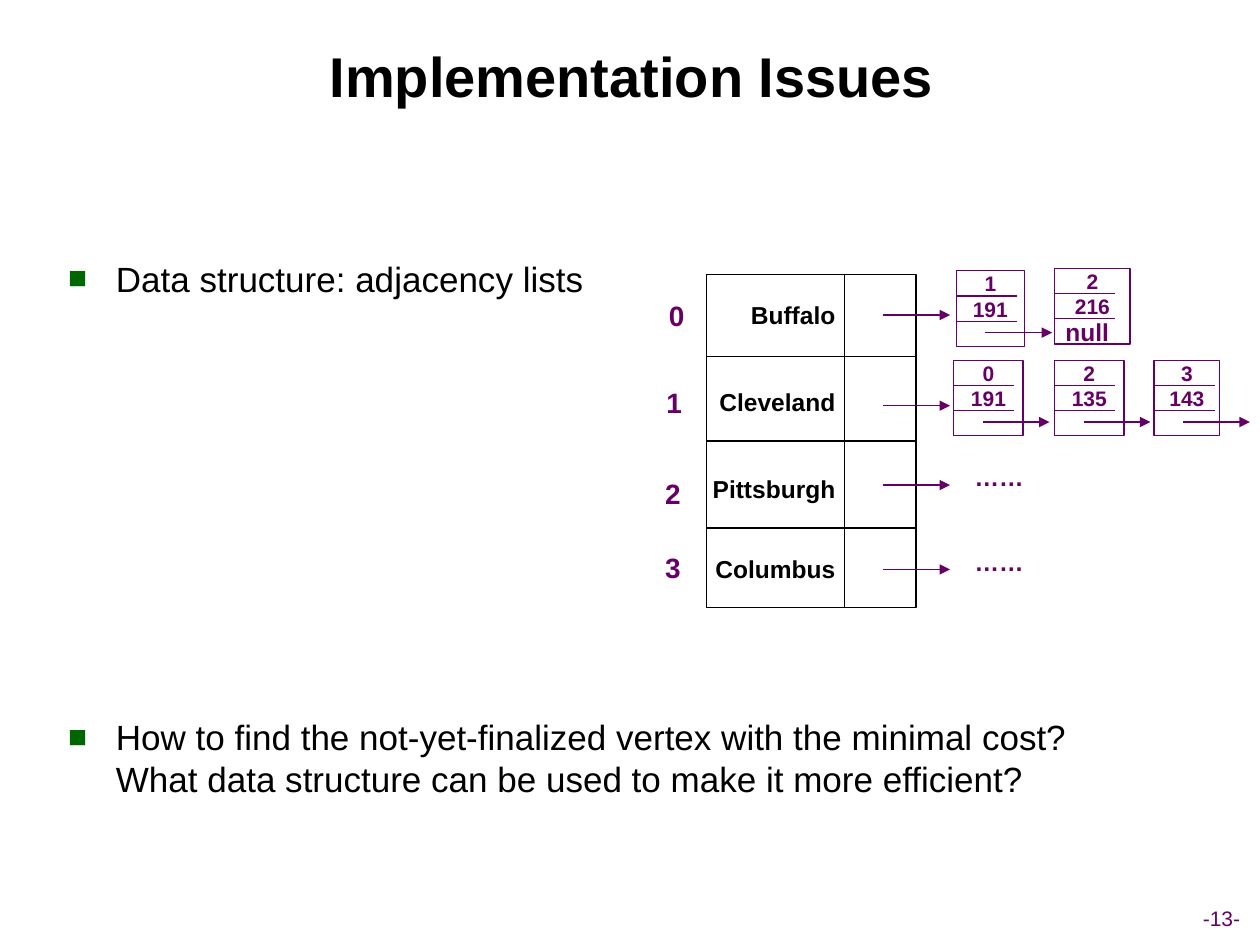
from dataclasses import dataclass
from typing import NamedTuple

from lxml.etree import SubElement
from pptx import Presentation
from pptx.dml.color import RGBColor as Rgb
from pptx.enum.shapes import MSO_CONNECTOR as Link, MSO_SHAPE as Kind
from pptx.enum.text import MSO_ANCHOR as Anchor, PP_ALIGN as Align
from pptx.oxml.ns import qn
from pptx.util import Inches, Pt


@dataclass(frozen=True)
class Theme:
    font: str = "Arial"
    ink: Rgb = Rgb(0, 0, 0)
    plum: Rgb = Rgb(0x66, 0, 0x66)
    mark: str = "006600"
    title: int = 32
    body: int = 20
    index: int = 16
    label: int = 14
    small: int = 12
    line: float = 0.75


class Box(NamedTuple):
    x: float
    y: float
    w: float
    h: float


class Row(NamedTuple):
    city: str
    city_y: float
    index_x: float
    index_y: float
    arrow_y: float


class Node(NamedTuple):
    x: float
    y: float
    w: float
    vertex: str
    cost: str
    linked: bool = True


THEME = Theme()
FRAME = Box(5.61, 2.18, 1.66, 2.64)
SPLIT = 6.7
STEP = 0.53  # length of every arrow

ROWS = [
    Row("Buffalo", 2.33, 5.21, 2.32, 2.5),
    Row("Cleveland", 3.02, 5.19, 3.01, 3.22),
    Row("Pittsburgh", 3.71, 5.18, 3.73, 3.85),
    Row("Columbus", 4.35, 5.18, 4.32, 4.52),
]
NODES = [
    Node(7.59, 2.15, 0.54, "1", "191"),
    Node(8.37, 2.13, 0.6, "2", "216", False),
    Node(7.57, 2.86, 0.55, "0", "191"),
    Node(8.37, 2.86, 0.55, "2", "135"),
    Node(9.16, 2.86, 0.52, "3", "143"),
]
POINTS = [
    "Data structure: adjacency lists",
    "How to find the not-yet-finalized vertex with the minimal cost? "
    "What data structure can be used to make it more efficient?",
]


def place(box: Box) -> list:
    return [Inches(side) for side in box]


def write(para, text: str, size: int, color: Rgb, bold: bool = True) -> None:
    run = para.add_run()
    run.text = text
    font = run.font
    font.name, font.size, font.bold = THEME.font, Pt(size), bold
    font.color.rgb = color


def add_label(shapes, box: Box, text: str, size: int, color: Rgb,
              bold: bool = True, align=Align.CENTER, anchor=Anchor.TOP) -> None:
    frame = shapes.add_textbox(*place(box)).text_frame
    frame.word_wrap = False
    frame.vertical_anchor = anchor
    para = frame.paragraphs[0]
    para.alignment = align
    write(para, text, size, color, bold)


def add_rect(shapes, box: Box, color: Rgb):
    rect = shapes.add_shape(Kind.RECTANGLE, *place(box))
    rect.shadow.inherit = False
    rect.fill.background()
    rect.line.color.rgb = color
    rect.line.width = Pt(THEME.line)
    return rect


def add_line(shapes, x: float, y: float, x2: float, y2: float, color: Rgb):
    line = shapes.add_connector(Link.STRAIGHT, *place(Box(x, y, x2, y2)))
    line.line.color.rgb = color
    line.line.width = Pt(THEME.line)
    SubElement(line._element.spPr, qn("a:effectLst"))
    return line


def add_arrow(shapes, x: float, y: float) -> None:
    line = add_line(shapes, x, y, x + STEP, y, THEME.plum)
    SubElement(line.line._get_or_add_ln(), qn("a:tailEnd"), type="triangle")


def add_points(shapes) -> None:
    frame = shapes.add_textbox(*place(Box(0.45, 2.04, 8.38, 4.5))).text_frame
    frame.word_wrap = True
    frame.margin_left, frame.margin_top = Inches(0.09), 0
    for i, text in enumerate(POINTS):
        para = frame.add_paragraph() if i else frame.paragraphs[0]
        if i:
            para.space_before = Pt(238)
        props = para._p.get_or_add_pPr()
        props.set("marL", str(Inches(0.38)))
        props.set("indent", str(-Inches(0.38)))
        tint = SubElement(props, qn("a:buClr"))
        SubElement(tint, qn("a:srgbClr"), val=THEME.mark)
        SubElement(props, qn("a:buSzPct"), val="90000")
        SubElement(props, qn("a:buFont"), typeface=THEME.font)
        SubElement(props, qn("a:buChar"), char="■")
        write(para, text, THEME.body, THEME.ink, False)


def add_table_frame(shapes) -> None:
    """Draw the vertex array: outline, column split and row lines."""
    x, y, w, h = FRAME
    rect = add_rect(shapes, FRAME, THEME.ink)
    add_line(shapes, SPLIT, y, SPLIT, y + h, THEME.ink)
    for level in (2.83, 4.19):
        add_line(shapes, x, level, x + w, level, THEME.ink)
    middle = add_line(shapes, x, y + h / 2, x + w, y + h / 2, THEME.ink)
    middle.begin_connect(rect, 1)
    middle.end_connect(rect, 3)


def add_row(shapes, number: int, row: Row) -> None:
    add_label(shapes, Box(5.53, row.city_y, 1.2, 0.33), row.city,
              THEME.label, THEME.ink, align=Align.RIGHT)
    add_label(shapes, Box(row.index_x, row.index_y, 0.32, 0.37), str(number),
              THEME.index, THEME.plum)
    add_arrow(shapes, 7.01, row.arrow_y)


def add_node(shapes, node: Node) -> None:
    rect = add_rect(shapes, Box(node.x, node.y, node.w, 0.6), THEME.plum)
    frame = rect.text_frame
    frame.margin_top = frame.margin_bottom = 0
    frame.word_wrap = True
    frame.vertical_anchor = Anchor.TOP
    for para, text in ((frame.paragraphs[0], node.vertex),
                       (frame.add_paragraph(), node.cost)):
        para.alignment = Align.CENTER
        write(para, text, THEME.small, THEME.plum)
    for drop in (0.2, 0.4):
        level = node.y + drop
        add_line(shapes, node.x, level, node.x + 0.48, level, THEME.plum)
    if node.linked:
        add_arrow(shapes, node.x + 0.23, node.y + 0.49)


def main() -> None:
    deck = Presentation()
    deck.slide_width, deck.slide_height = Inches(10), Inches(7.5)
    shapes = deck.slides.add_slide(deck.slide_layouts[6]).shapes

    add_label(shapes, Box(0.38, 0.12, 9.27, 0.95), "Implementation Issues",
              THEME.title, THEME.ink, anchor=Anchor.MIDDLE)
    add_points(shapes)
    add_table_frame(shapes)
    for number, row in enumerate(ROWS):
        add_row(shapes, number, row)
    for node in NODES:
        add_node(shapes, node)
    for box, text in ((Box(8.28, 2.47, 0.7, 0.34), "null"),
                      (Box(7.58, 3.62, 0.7, 0.34), "……"),
                      (Box(7.58, 4.29, 0.7, 0.34), "……")):
        add_label(shapes, box, text, THEME.label, THEME.plum)
    add_label(shapes, Box(9.16, 7.14, 1.07, 0.3), "-13-", THEME.small,
              THEME.plum, bold=False, anchor=Anchor.MIDDLE)
    deck.save("out.pptx")


if __name__ == "__main__":
    main()
